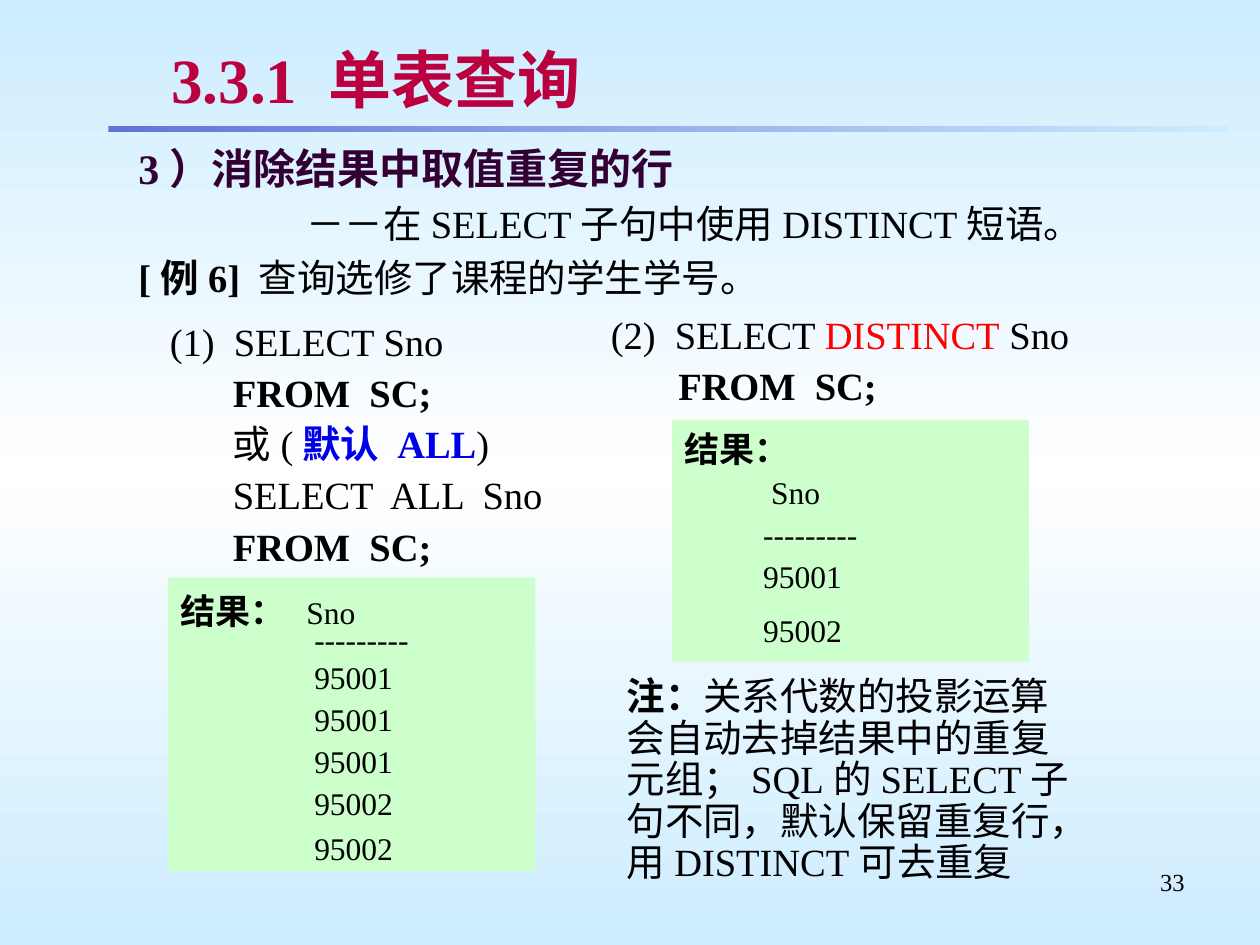
from collections import namedtuple
from dataclasses import dataclass

from lxml.etree import SubElement
from pptx import Presentation
from pptx.dml.color import RGBColor
from pptx.enum.shapes import MSO_SHAPE
from pptx.enum.text import MSO_ANCHOR, MSO_AUTO_SIZE, PP_ALIGN
from pptx.oxml import parse_xml
from pptx.oxml.ns import nsdecls, qn
from pptx.util import Pt

Box = namedtuple("Box", "left top width height")


@dataclass(frozen=True)
class Theme:
    latin: str = "Times New Roman"
    asian: str = "Noto Sans CJK SC"
    label: str = "Karla"
    ink: str = "000000"
    title: str = "BA003E"
    heading: str = "330033"
    keyword: str = "FF0000"
    default: str = "0000E8"
    result: str = "CCFFCC"
    edge: str = "CCECFF"
    middle: str = "FFFFFF"
    rule: str = "5F76D7"
    title_size: int = 36
    heading_size: int = 24
    body_size: int = 22
    label_size: int = 20
    data_size: int = 18
    number_size: int = 14


THEME = Theme()
BOLD = {"bold": True}


def add_run(paragraph, text, size, color=THEME.ink, bold=False, font=THEME.latin):
    run = paragraph.add_run()
    run.text = text
    run.font.size = Pt(size)
    run.font.bold = bold
    run.font.color.rgb = RGBColor.from_string(color)
    run.font.name = font
    SubElement(run.font._element, qn("a:ea"), typeface=THEME.asian)
    return run


def write(frame, *runs, size=THEME.body_size, before=0.0, spacing=None,
          indent=0.0, tab=None, align=PP_ALIGN.LEFT):
    first = not frame.paragraphs[0].runs
    paragraph = frame.paragraphs[0] if first else frame.add_paragraph()
    paragraph.alignment = align
    paragraph.space_before = Pt(0 if first else before)
    if spacing:
        paragraph.line_spacing = spacing
    properties = paragraph._p.get_or_add_pPr()
    properties.set("marL", str(Pt(indent)))
    properties.set("indent", "0")
    if tab:
        tabs = SubElement(properties, qn("a:tabLst"))
        SubElement(tabs, qn("a:tab"), pos=str(Pt(tab)), algn="l")
    for text, style in runs:
        add_run(paragraph, text, **{"size": size, **style})
    return paragraph


def place(shape, box):
    shape.left, shape.top, shape.width, shape.height = map(Pt, box)


def format_frame(shape, anchor=MSO_ANCHOR.MIDDLE, wrap=True, inset=3.6):
    frame = shape.text_frame
    frame.auto_size = MSO_AUTO_SIZE.NONE
    frame.word_wrap = wrap
    frame.vertical_anchor = anchor
    frame.margin_left = frame.margin_right = Pt(7.2)
    frame.margin_top = frame.margin_bottom = Pt(inset)
    return frame


def add_frame(slide, box, **options):
    return format_frame(slide.shapes.add_textbox(*map(Pt, box)), **options)


def add_rectangle(slide, box):
    shape = slide.shapes.add_shape(MSO_SHAPE.RECTANGLE, *map(Pt, box))
    shape.shadow.inherit = False
    shape.line.fill.background()
    return shape


def apply_gradient(fill, angle, colors):
    fill.gradient()
    fill.gradient_angle = angle
    for stop, color in zip(fill.gradient_stops, colors):
        stop.color.rgb = RGBColor.from_string(color)


def paint_background(slide):
    apply_gradient(slide.background.fill, 90, (THEME.edge, THEME.edge))
    stops = next(slide.element.iter(qn("a:gsLst")))
    stops.insert(1, parse_xml(
        f'<a:gs {nsdecls("a")} pos="50000"><a:srgbClr val="{THEME.middle}"/></a:gs>'))


def add_rule(slide, box):
    apply_gradient(add_rectangle(slide, box).fill, 0, (THEME.rule, THEME.edge))


def add_title(slide, box):
    title = slide.shapes.title
    place(title, box)
    paragraph = write(format_frame(title, inset=2.88),
                      ("3.3.1 单表查询", {"color": THEME.title, "bold": True}),
                      size=THEME.title_size)
    font_element = paragraph.runs[0].font._element
    font_element.find(qn("a:latin")).addprevious(parse_xml(
        f'<a:effectLst {nsdecls("a")}><a:outerShdw dist="25400" dir="2700000">'
        '<a:srgbClr val="C0C0C0"/></a:outerShdw></a:effectLst>'))


def add_introduction(slide, box):
    frame = add_frame(slide, box, anchor=MSO_ANCHOR.TOP)
    write(frame, ("3）消除结果中取值重复的行", {"color": THEME.heading, "bold": True}),
          size=THEME.heading_size, indent=36)
    write(frame, ("－－在SELECT子句中使用DISTINCT短语。", {}), before=4.1, indent=132)
    write(frame, ("[例6] ", BOLD), ("查询选修了课程的学生学号。", {}),
          before=4.1, indent=36)


def add_query(slide, box, indent, first, *lines):
    frame = add_frame(slide, box, wrap=False)
    write(frame, *first, spacing=0.9)
    for line in lines:
        write(frame, *line, before=5.5, spacing=0.9, indent=indent)


def add_result(slide, box, header, rows, indent, last_gap):
    shape = add_rectangle(slide, box)
    shape.fill.solid()
    shape.fill.fore_color.rgb = RGBColor.from_string(THEME.result)
    frame = format_frame(shape)
    header(frame)
    for position, row in enumerate(rows):
        last = position == len(rows) - 1
        tight = header is same_line_header and position == 0
        write(frame, (row, {}), size=THEME.data_size, indent=indent,
              before=last_gap if last else 4.5, spacing=0.4 if tight else 0.9)


def result_label(text):
    return text, {"font": THEME.label, "bold": True, "size": THEME.label_size}


def same_line_header(frame):
    write(frame, result_label("结果：\t"), ("Sno", {}), size=THEME.data_size,
          spacing=1.2, tab=77.5)


def two_line_header(frame):
    write(frame, result_label("结果："), spacing=0.9)
    write(frame, ("Sno", {}), size=THEME.data_size, before=4.5, spacing=0.9, indent=49.5)


def add_note(slide, box):
    asian = {"font": THEME.asian}
    write(add_frame(slide, box),
          ("注：", {**asian, **BOLD}),
          ("关系代数的投影运算会自动去掉结果中的重复元组；", asian),
          ("SQL的SELECT子句不同，默认保留重复行，用DISTINCT", {}),
          ("可去重复", asian), spacing=0.9)


def add_page_number(slide, box):
    write(add_frame(slide, box, anchor=MSO_ANCHOR.TOP), ("33", {}),
          size=THEME.number_size, align=PP_ALIGN.RIGHT)


def main():
    presentation = Presentation()
    presentation.slide_width, presentation.slide_height = Pt(720), Pt(540)
    slide = presentation.slides.add_slide(presentation.slide_layouts[5])
    paint_background(slide)
    add_rule(slide, Box(62, 72, 640, 3.6))
    add_page_number(slide, Box(516, 492, 168, 37.5))
    add_title(slide, Box(90.7, 21, 593.3, 48))
    add_introduction(slide, Box(36, 78, 618, 105))

    source = [("FROM  SC;", BOLD)]
    add_query(slide, Box(90, 180, 228, 150), 36,
              [("(1)  SELECT Sno", {})],
              source,
              [("或(", {}), ("默认 ALL", {"color": THEME.default, "bold": True}), (")", {})],
              [("SELECT  ALL  Sno", {})],
              source)
    add_result(slide, Box(96, 330, 210, 168), same_line_header,
               ["---------"] + ["95001"] * 3 + ["95002"] * 2, 76.5, 6.5)
    add_query(slide, Box(342, 174, 264, 66), 38.5,
              [("(2)  SELECT ", {}), ("DISTINCT", {"color": THEME.keyword}), (" Sno", {})],
              source)
    add_result(slide, Box(384, 240, 204, 138), two_line_header,
               ["---------", "95001", "95002"], 45, 11.5)
    add_note(slide, Box(351, 380, 270, 133))
    presentation.save("out.pptx")


if __name__ == "__main__":
    main()
